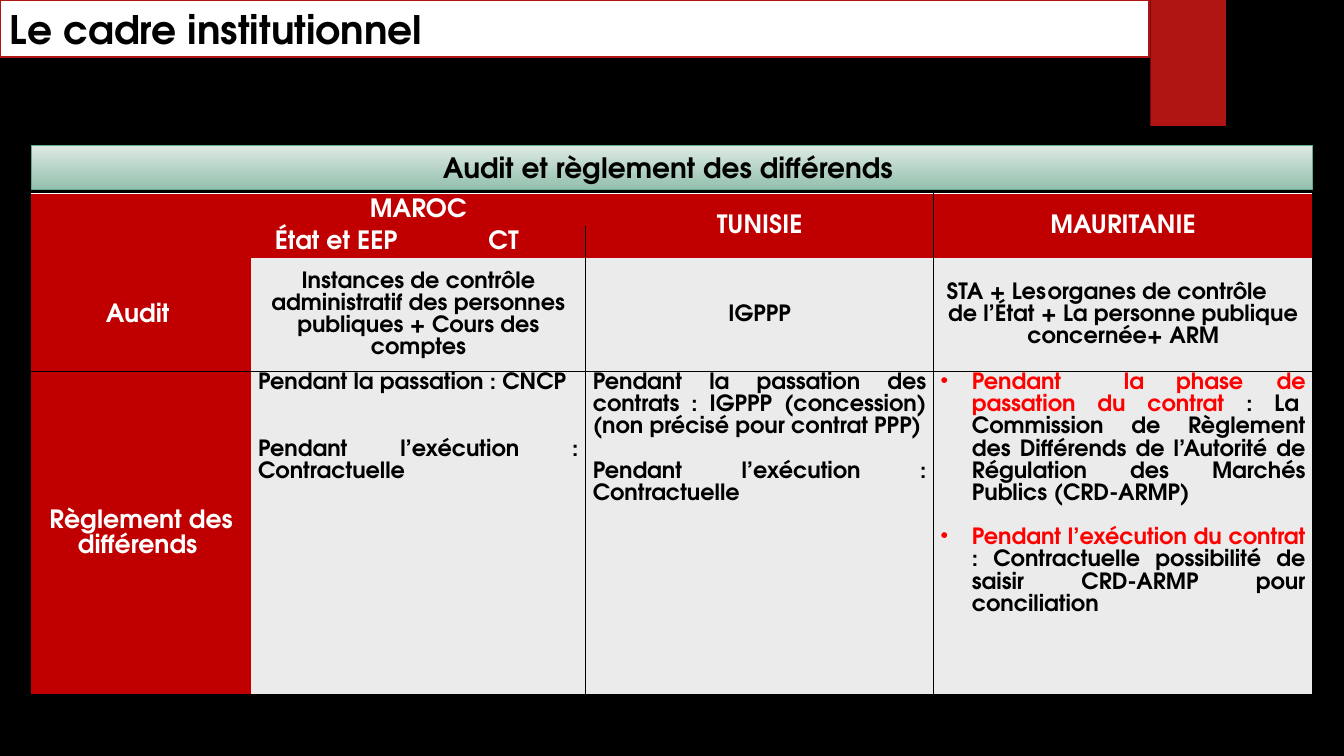
from lxml import etree
from pptx import Presentation
from pptx.dml.color import RGBColor
from pptx.enum.shapes import MSO_SHAPE
from pptx.enum.text import MSO_ANCHOR, PP_ALIGN
from pptx.oxml.ns import qn
from pptx.util import Inches, Pt

FONT = "TeX Gyre Adventor"
HEX = {
    "black": "000000", "white": "FFFFFF", "brand": "B01513", "head": "C00000",
    "body": "EBEBEB", "red": "FF0000", "pale": "DEEAE4", "green": "93C0AC",
    "edge": "6AAC90",
}
RGB = {name: RGBColor.from_string(code) for name, code in HEX.items()}


def add_run(para, text, size, color):
    run = para.add_run()
    run.text = text
    run.font.name = FONT
    run.font.size = Pt(size)
    run.font.bold = True
    run.font.color.rgb = RGB[color]


def add_box(left, top, width, height, fill):
    box = slide.shapes.add_shape(
        MSO_SHAPE.RECTANGLE, Inches(left), Inches(top), Inches(width), Inches(height))
    box.shadow.inherit = False
    box.line.fill.background()
    box.fill.solid()
    box.fill.fore_color.rgb = RGB[fill]
    box.text_frame.vertical_anchor = MSO_ANCHOR.MIDDLE
    return box


prs = Presentation()
prs.slide_width = Inches(13.33)
prs.slide_height = Inches(7.5)
slide = prs.slides.add_slide(prs.slide_layouts[6])
slide.background.fill.solid()
slide.background.fill.fore_color.rgb = RGB["black"]

add_box(11.41, 0, 0.75, 1.25, "brand")

title = add_box(0, 0, 11.4, 0.57, "white")
title.line.color.rgb = RGB["brand"]
title.line.width = Pt(1.5)
para = title.text_frame.paragraphs[0]
para.alignment = PP_ALIGN.LEFT
add_run(para, "Le cadre institutionnel", 28, "black")

cols = [2.18, 1.69, 1.63, 3.45, 3.76]
rows = [0.32, 0.32, 1.13, 3.2]
frame = slide.shapes.add_table(
    len(rows), len(cols), Inches(0.31), Inches(1.92), Inches(sum(cols)), Inches(sum(rows)))
table = frame.table
table.first_row = table.horz_banding = False
style = table._tbl.tblPr.find(qn("a:tableStyleId"))
style.text = "{2D5ABB26-0587-4C30-8999-92F81FD0307C}"
for col, width in zip(table.columns, cols):
    col.width = Inches(width)
for row, height in zip(table.rows, rows):
    row.height = Inches(height)
for top, left, low, right in [
        (0, 0, 1, 0), (0, 1, 0, 2), (0, 3, 1, 3), (0, 4, 1, 4), (2, 1, 2, 2), (3, 1, 3, 2)]:
    table.cell(top, left).merge(table.cell(low, right))

for r in range(len(rows)):
    for c in range(len(cols)):
        cell = table.cell(r, c)
        cell.margin_left = cell.margin_right = Inches(0.07)
        cell.margin_top = cell.margin_bottom = 0
        cell.fill.solid()
        cell.fill.fore_color.rgb = RGB["head" if r < 2 or c == 0 else "body"]
        sides = {}
        if c == 4 or (c == 3 and r > 1):
            sides["lnL"] = "black"
        if c == 3 or (c in (1, 2) and r > 1) or (r, c) == (1, 2):
            sides["lnR"] = "black"
        if r in (0, 3):
            sides["lnT"] = "black" if r else "white"
        if r > 1:
            sides["lnB"] = "black"
        for spot, (side, color) in enumerate(sides.items()):
            line = etree.Element(qn("a:" + side), w=str(Pt(1)))
            fill = etree.SubElement(line, qn("a:solidFill"))
            etree.SubElement(fill, qn("a:srgbClr"), val=HEX[color])
            cell._tc.tcPr.insert(spot, line)

labels = {
    (0, 1): "MAROC", (0, 3): "TUNISIE", (0, 4): "MAURITANIE",
    (1, 1): "État et EEP", (1, 2): "CT",
    (2, 0): "Audit ", (3, 0): "Règlement des différends ",
    (2, 1): "Instances de contrôle administratif des personnes publiques + Cours des comptes",
    (2, 3): "IGPPP",
    (2, 4): "STA + Les\torganes de contrôle\tde l’État + La personne publique concernée+ ARM",
}
for (r, c), text in labels.items():
    cell = table.cell(r, c)
    cell.vertical_anchor = MSO_ANCHOR.MIDDLE
    para = cell.text_frame.paragraphs[0]
    para.alignment = PP_ALIGN.CENTER
    para.line_spacing = 1.07
    head = r < 2 or c == 0
    add_run(para, text, 18 if head else 16, "white" if head else "black")

rules = [
    (1, 32, [
        ["", "Pendant la passation : CNCP"],
        ["", "Pendant l’exécution : Contractuelle"]]),
    (3, 16, [
        ["", "Pendant la passation des contrats : IGPPP (concession) (non précisé pour contrat PPP)"],
        ["", "Pendant l’exécution : Contractuelle "]]),
    (4, 16, [
        ["Pendant\t la phase\t de passation du contrat ",
         ": La\tCommission de Règlement des Différends de l’Autorité de Régulation "
         "des Marchés Publics (CRD-ARMP)"],
        ["Pendant l’exécution du contrat ",
         ": Contractuelle possibilité de saisir CRD-ARMP pour conciliation "]]),
]
for c, gap, items in rules:
    text = table.cell(3, c).text_frame
    for i, (lead, rest) in enumerate(items):
        para = text.add_paragraph() if i else text.paragraphs[0]
        if lead:
            props = para._p.get_or_add_pPr()
            props.set("marL", str(Inches(0.31)))
            props.set("indent", str(-Inches(0.31)))
            etree.SubElement(props, qn("a:buChar"), char="•")
            add_run(para, lead, 16, "red")
        para.alignment = PP_ALIGN.JUSTIFY
        para.line_spacing = 1.07
        if i:
            para.space_before = Pt(gap)
        add_run(para, rest, 16, "black")

band = add_box(0.31, 1.44, 12.71, 0.44, "pale")
band.fill.gradient()
band.fill.gradient_angle = 270
for stop, color in zip(band.fill.gradient_stops, ["pale", "green"]):
    stop.color.rgb = RGB[color]
band.line.color.rgb = RGB["edge"]
band.line.width = Pt(0.75)
para = band.text_frame.paragraphs[0]
para.alignment = PP_ALIGN.CENTER
add_run(para, "Audit et règlement des différends ", 20, "black")

prs.save("out.pptx")
